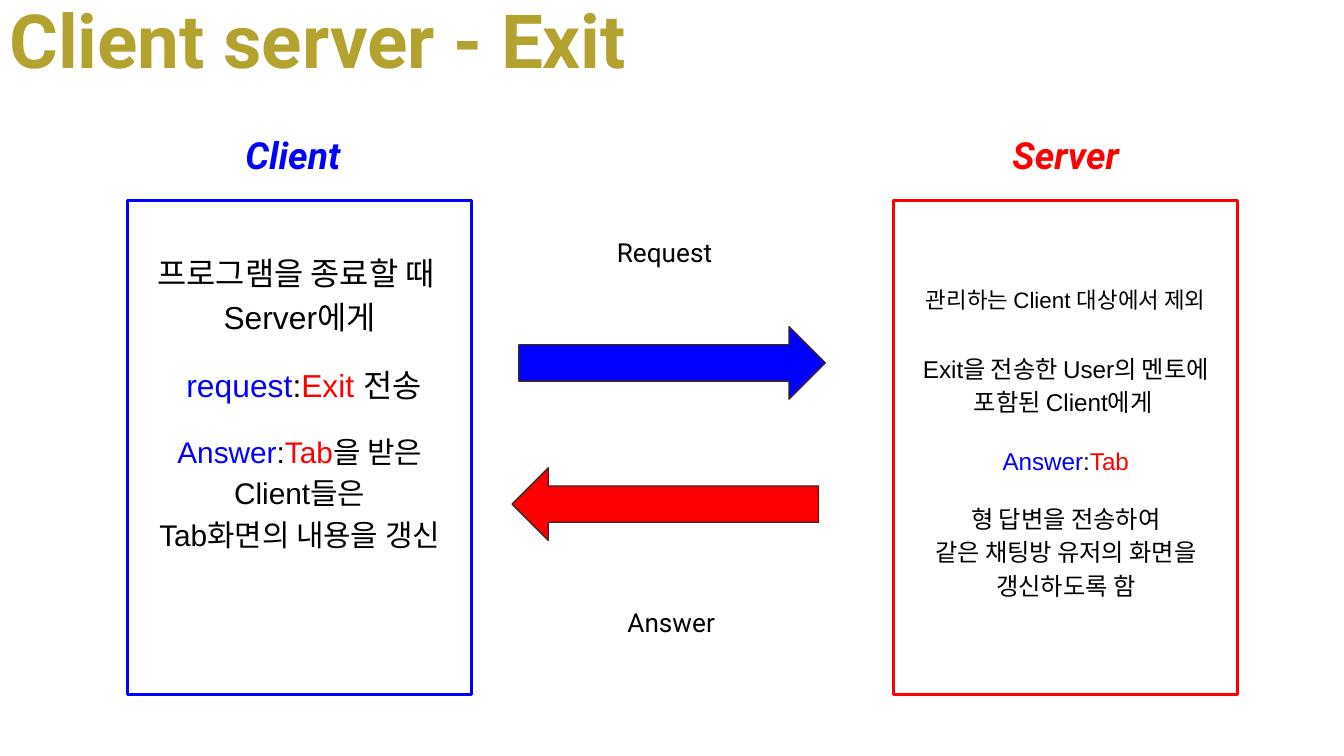
from dataclasses import dataclass

import pptx
import pptx.dml.color
import pptx.enum.shapes
import pptx.enum.text
import pptx.util

Pt = pptx.util.Pt
Align = pptx.enum.text.PP_ALIGN
Anchor = pptx.enum.text.MSO_ANCHOR
ShapeKind = pptx.enum.shapes.MSO_SHAPE

COLORS = {
    "title": "B4A22F",
    "client": "0000FF",
    "server": "FF0000",
    "text": "000000",
    "paper": "FFFFFF",
    "outline": "412524",
}
PANEL_TOP, PANEL_WIDTH, PANEL_HEIGHT = 107.3, 184.3, 265
HEADING_TOP, LABEL_HEIGHT = 63.4, 34.6
ARROW_WIDTH, ARROW_HEIGHT, LABEL_WIDTH = 164.2, 38.9, 163.4
INSET = 7.2


@dataclass
class Line:
    """One paragraph: runs of (text, colour name), size and the gap above."""
    runs: list[tuple[str, str]]
    size: float
    gap: float = 0


@dataclass
class Panel:
    heading: str
    color: str
    left: float
    heading_left: float
    anchor: Anchor
    top_inset: float
    bottom_inset: float
    lines: list[Line]


@dataclass
class Message:
    label: str
    color: str
    arrow_left: float
    arrow_top: float
    rotation: float
    label_left: float
    label_top: float


def rgb(name: str) -> pptx.dml.color.RGBColor:
    return pptx.dml.color.RGBColor.from_string(COLORS[name])


def plain(text: str, size: float, gap: float = 0) -> Line:
    return Line([(text, "text")], size, gap)


def command(name: str, value: str, rest: str = "") -> list[tuple[str, str]]:
    runs = [(name, "client"), (":", "text"), (value, "server")]
    return runs + [(rest, "text")] if rest else runs


def write(frame, lines: list[Line], *, font: str = "Arial", bold: bool = False,
          italic: bool = False, align=Align.CENTER, anchor=Anchor.TOP,
          spacing: float = 1.0, insets=(INSET,) * 4) -> None:
    """Fill a text frame; insets are left, top, right, bottom."""
    frame.word_wrap = True
    frame.auto_size = pptx.enum.text.MSO_AUTO_SIZE.NONE
    frame.vertical_anchor = anchor
    (frame.margin_left, frame.margin_top,
     frame.margin_right, frame.margin_bottom) = map(Pt, insets)
    for index, line in enumerate(lines):
        paragraph = frame.add_paragraph() if index else frame.paragraphs[0]
        paragraph.alignment = align
        paragraph.line_spacing = spacing
        paragraph.space_before = Pt(line.gap)
        for text, color in line.runs:
            run = paragraph.add_run()
            run.text = text
            run.font.name = font
            run.font.size = Pt(line.size)
            run.font.bold = bold
            run.font.italic = italic
            run.font.color.rgb = rgb(color)


def add_shape(slide, kind, left: float, top: float, width: float, height: float,
              fill: str, line: str, line_width: float):
    shape = slide.shapes.add_shape(kind, Pt(left), Pt(top), Pt(width), Pt(height))
    shape.shadow.inherit = False
    shape.fill.solid()
    shape.fill.fore_color.rgb = rgb(fill)
    shape.line.color.rgb = rgb(line)
    shape.line.width = Pt(line_width)
    return shape


def add_label(slide, line: Line, left: float, top: float, width: float,
              **text_format) -> None:
    box = slide.shapes.add_textbox(Pt(left), Pt(top), Pt(width), Pt(LABEL_HEIGHT))
    write(box.text_frame, [line], font="Roboto", **text_format)


def add_panel(slide, panel: Panel) -> None:
    shape = add_shape(slide, ShapeKind.RECTANGLE, panel.left, PANEL_TOP,
                      PANEL_WIDTH, PANEL_HEIGHT, "paper", panel.color, 1.5)
    write(shape.text_frame, panel.lines, anchor=panel.anchor, spacing=1.15,
          insets=(INSET, panel.top_inset, INSET, panel.bottom_inset))
    add_label(slide, Line([(panel.heading, panel.color)], 20), panel.heading_left,
              HEADING_TOP, PANEL_WIDTH, bold=True, italic=True)


def add_message(slide, message: Message) -> None:
    arrow = add_shape(slide, ShapeKind.RIGHT_ARROW, message.arrow_left,
                      message.arrow_top, ARROW_WIDTH, ARROW_HEIGHT,
                      message.color, "outline", 0.75)
    arrow.rotation = message.rotation
    add_label(slide, plain(message.label, 14), message.label_left,
              message.label_top, LABEL_WIDTH)


PANELS = [
    Panel("Client", "client", 68.4, 64.8, Anchor.TOP, 25.6, INSET, [
        plain("프로그램을 종료할 때 ", 17),
        plain("Server에게", 17),
        Line([(" ", "text")] + command("request", "Exit", " 전송"), 17, 13.2),
        Line(command("Answer", "Tab", "을 받은 Client들은"), 16, 13.2),
        plain("Tab화면의 내용을 갱신", 16),
    ]),
    Panel("Server", "server", 478.8, 478.8, Anchor.BOTTOM, INSET, 50.8, [
        plain("관리하는 Client 대상에서 제외", 12),
        plain("Exit을 전송한 User의 멘토에 포함된 Client에게 ", 13, 19.8),
        Line(command("Answer", "Tab"), 13, 13.2),
        plain("형 답변을 전송하여", 13, 13.2),
        plain("같은 채팅방 유저의 화면을 갱신하도록 함", 13),
    ]),
]
MESSAGES = [
    Message("Request", "client", 277.9, 175, 0, 274.3, 119.5),
    Message("Answer", "server", 274.3, 250.6, 180, 277.9, 317.5),
]


def main() -> None:
    presentation = pptx.Presentation()
    presentation.slide_width, presentation.slide_height = Pt(720), Pt(405)
    slide = presentation.slides.add_slide(presentation.slide_layouts[5])

    # Title
    title = slide.shapes.title
    title.left, title.top, title.width, title.height = map(Pt, (0, 0, 622.8, 48.2))
    write(title.text_frame, [Line([("Client server - Exit", "title")], 40)],
          font="Roboto", bold=True, align=Align.LEFT, anchor=Anchor.BOTTOM,
          spacing=0.9, insets=(5, 2.9, 5, 2.9))

    # Client and server panels
    for panel in PANELS:
        add_panel(slide, panel)

    # Messages between them
    for message in MESSAGES:
        add_message(slide, message)

    presentation.save("out.pptx")


if __name__ == "__main__":
    main()
